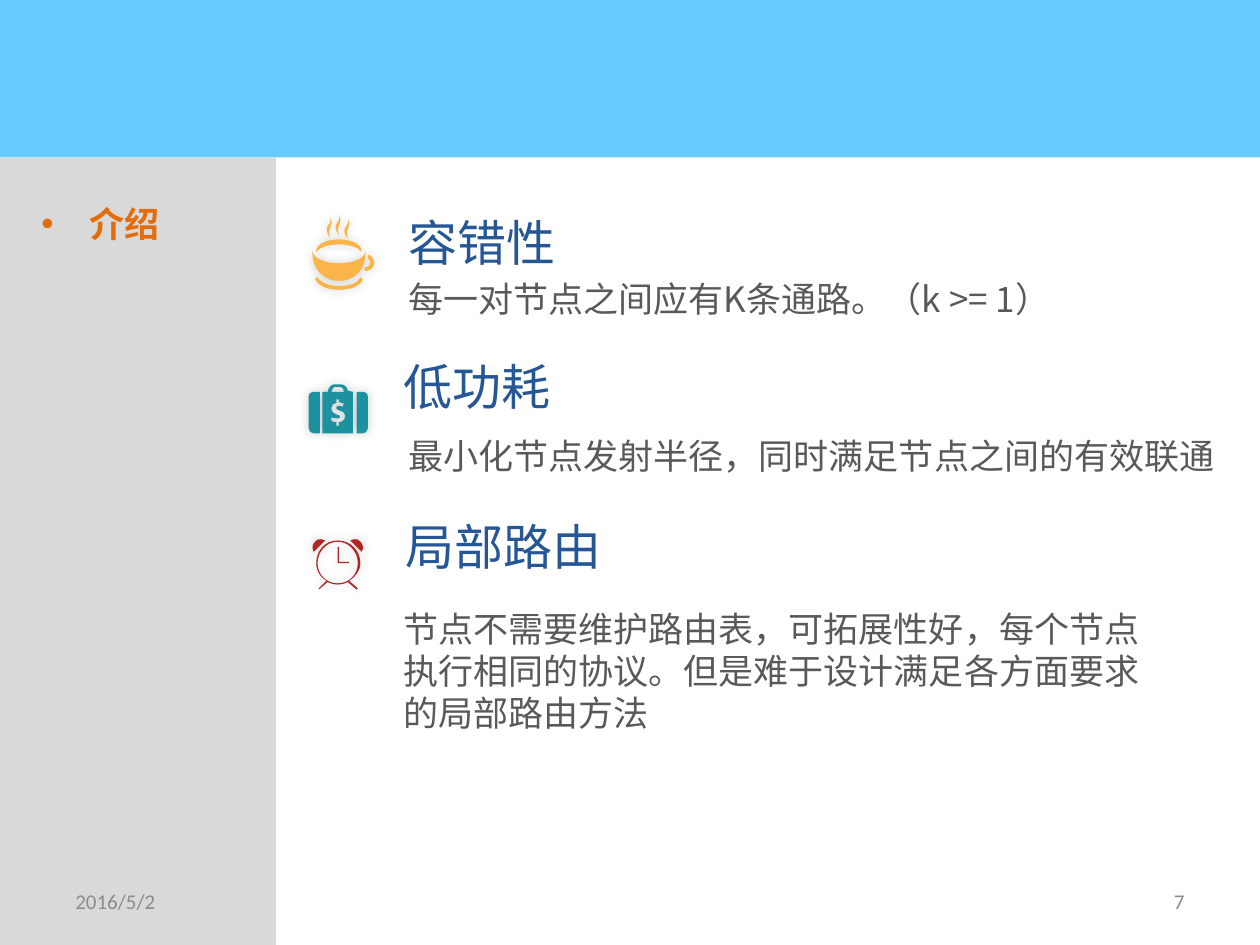
from lxml import etree
from pptx import Presentation
from pptx.dml.color import RGBColor
from pptx.enum.shapes import MSO_SHAPE
from pptx.enum.text import MSO_ANCHOR, MSO_AUTO_SIZE, PP_ALIGN
from pptx.oxml.ns import qn
from pptx.util import Inches, Pt

RECT = MSO_SHAPE.RECTANGLE
TOP, MIDDLE = MSO_ANCHOR.TOP, MSO_ANCHOR.MIDDLE
LEFT, RIGHT = PP_ALIGN.LEFT, PP_ALIGN.RIGHT
GROW, FIXED = MSO_AUTO_SIZE.SHAPE_TO_FIT_TEXT, MSO_AUTO_SIZE.NONE
CJK, LATIN = "Noto Sans CJK SC", "Calibri"
SKY, PANEL, ORANGE = "66CCFF", "D9D9D9", "E46C0A"
BLUE, DARK, GREY = "255796", "595959", "8C8C8C"
AMBER, TEAL, RED = "FBB448", "1C91A0", "B02623"

# Icon outlines in hundredths of an inch from the icon corner:
# two numbers are a corner point, six are a Bezier curve (control, control, end).
CUP = [
    [(4, 49), (6, 53, 13, 56, 21, 56), (29, 56, 36, 54, 38, 49), (40, 51),
     (38, 56, 30, 59, 21, 59), (12, 59, 4, 56, 2, 50)],
    [(44, 31), (47, 32, 49, 35, 49, 37), (49, 41, 46, 44, 43, 44),
     (42, 44, 41, 44, 41, 43), (42, 41), (43, 41), (45, 41, 46, 39, 46, 37),
     (46, 36, 45, 35, 44, 34), (44, 33, 44, 32, 44, 31)],
    [(42, 27), (42, 28, 42, 29, 42, 31), (42, 43, 33, 52, 21, 52),
     (10, 52, 0, 43, 0, 31), (0, 28), (0, 34, 10, 38, 21, 38),
     (33, 38, 42, 34, 42, 28)],
    [(21, 19), (31, 19, 39, 23, 39, 28), (39, 29), (36, 25, 29, 23, 21, 23),
     (13, 23, 6, 25, 3, 29), (3, 28), (3, 23, 11, 19, 21, 19)],
] + [
    [(x, y), (x + 4, y + 6, x - 3, y + 7, x, y + 16), (x - 7, y + 5, x + 2, y + 7, x, y)]
    for x, y in [(28, 3), (14, 2), (21, 0)]
]
BRIEFCASE = [
    [(31, 5), (31, 2, 28, 0, 25, 0), (21, 0), (18, 0, 16, 2, 15, 6), (11, 6),
     (11, 39), (35, 39), (35, 6)],
    [(21, 2), (25, 2), (27, 2, 28, 4, 28, 6), (18, 6), (19, 3, 20, 2, 21, 2)],
    [(9, 6), (4, 6), (2, 6, 0, 7, 0, 10), (0, 35), (0, 37, 2, 39, 4, 39), (9, 39)],
    [(47, 35), (47, 37, 45, 39, 42, 39), (38, 39), (38, 6), (42, 6),
     (45, 6, 47, 7, 47, 10)],
    [(25, 26), (25, 25, 24, 24, 22, 24), (20, 23, 18, 22, 18, 19),
     (18, 17, 19, 15, 22, 15), (22, 12), (24, 12), (24, 14),
     (26, 15, 27, 15, 28, 15), (27, 18), (27, 18, 26, 17, 24, 17),
     (22, 17, 22, 18, 22, 19), (22, 19, 22, 20, 25, 21), (28, 22, 29, 23, 29, 25),
     (29, 28, 27, 30, 24, 30), (24, 33), (22, 33), (22, 30),
     (20, 30, 19, 30, 18, 29), (18, 26), (19, 27, 21, 27, 23, 27),
     (24, 27, 25, 27, 25, 26)],
]
CLOCK = [
    [(20, 6), (21, 6), (21, 18), (29, 18), (29, 19), (20, 19)],
    [(20, 2), (11, 2, 4, 10, 4, 19), (4, 28, 11, 35, 20, 35),
     (29, 35, 36, 28, 36, 19), (36, 10, 29, 2, 20, 2)],
    [(20, 1), (30, 1, 38, 9, 38, 19), (38, 25, 34, 30, 29, 33), (36, 39), (35, 40),
     (28, 34), (26, 35, 23, 36, 20, 36), (17, 36, 14, 35, 12, 34), (5, 40), (5, 39),
     (11, 33), (6, 30, 3, 25, 3, 19), (3, 9, 10, 1, 20, 1)],
    [(7, 0), (8, 0, 9, 0, 10, 1), (1, 10), (-1, 7, 0, 4, 2, 2), (3, 0, 5, 0, 7, 0)],
    [(33, 0), (35, 0, 37, 0, 38, 2), (40, 4, 41, 7, 39, 10), (30, 1),
     (31, 0, 32, 0, 33, 0)],
]


def rgb(color):
    return RGBColor.from_string(color)


def set_fill(sp, color):
    sp.shadow.inherit = False
    sp.fill.solid()
    sp.fill.fore_color.rgb = rgb(color)
    sp.line.fill.background()


def add_block(s, box, color):
    set_fill(s.shapes.add_shape(RECT, *map(Inches, box)), color)


def add_text(s, box, text, size, color, font=CJK, bold=False, align=LEFT,
             anchor=TOP, insets=(0.1, 0.05), auto_size=FIXED):
    tf = s.shapes.add_textbox(*map(Inches, box)).text_frame
    tf.text = text
    tf.word_wrap = True
    tf.auto_size = auto_size
    tf.vertical_anchor = anchor
    tf.margin_left = tf.margin_right = Inches(insets[0])
    tf.margin_top = tf.margin_bottom = Inches(insets[1])
    p = tf.paragraphs[0]
    p.alignment = align
    r = p.runs[0]
    r.font.size, r.font.bold, r.font.name = Pt(size), bold, font
    r.font.color.rgb = rgb(color)
    etree.SubElement(r.font._element, qn("a:ea"), typeface=font)
    return p


def add_bullet(p, indent):
    pPr = p._p.get_or_add_pPr()
    pPr.set("marL", str(Inches(indent)))
    pPr.set("indent", str(-Inches(indent)))
    etree.SubElement(pPr, qn("a:buFont"), typeface="Arial")
    etree.SubElement(pPr, qn("a:buChar"), char="•")


def add_soft_shadow(sp):
    effects = sp._element.spPr.find(qn("a:effectLst"))
    shadow = etree.SubElement(effects, qn("a:outerShdw"), blurRad=str(Pt(6)),
                              dist="0", dir=str(225 * 60000), rotWithShape="0")
    black = etree.SubElement(shadow, qn("a:srgbClr"), val="000000")
    etree.SubElement(black, qn("a:alpha"), val="20000")


def add_icon(s, left, top, outlines, color):
    def place(x, y):
        return Inches(left + x / 100), Inches(top + y / 100)

    builder = s.shapes.build_freeform(*place(*outlines[0][0]), scale=1.0)
    for i, outline in enumerate(outlines):
        if i:
            builder.move_to(*place(*outline[0]))
        builder.add_line_segments([place(*seg[-2:]) for seg in outline[1:]], close=True)
    sp = builder.convert_to_shape()

    # Turn the straight segments that stand for curves into Bezier segments.
    segments = [seg for outline in outlines for seg in outline[1:]]
    lines = list(sp._element.iter(qn("a:lnTo")))
    for line, seg in zip(lines, segments):
        if len(seg) == 6:
            line.tag = qn("a:cubicBezTo")
            for i in (0, 1):
                x, y = place(*seg[2 * i:2 * i + 2])
                pt = etree.Element(qn("a:pt"), x=str(x - sp.left), y=str(y - sp.top))
                line.insert(i, pt)
    set_fill(sp, color)
    add_soft_shadow(sp)


def add_frame(s, width, height, header, sidebar):
    add_block(s, (0, 0, width, header), SKY)
    add_block(s, (0, header, sidebar, height - header), PANEL)
    for left, text, align in [(0.5, "2016/5/2", LEFT), (width - 2.83, "7", RIGHT)]:
        add_text(s, (left, height - 0.55, 2.33, 0.4), text, 12, GREY, LATIN,
                 align=align, anchor=MIDDLE)
    p = add_text(s, (0.23, header + 0.31, 1.8, 4.53), "介绍", 20, ORANGE, bold=True)
    add_bullet(p, 0.38)


def add_point(s, title, title_box, body, body_box):
    for text, box, size, color in [(title, title_box, 28, BLUE),
                                   (body, body_box, 20, DARK)]:
        add_text(s, box, text, size, color, insets=(0.07, 0.04), auto_size=GROW)


def main():
    prs = Presentation()
    prs.slide_width, prs.slide_height = Inches(10), Inches(7.5)
    s = prs.slides.add_slide(prs.slide_layouts[6])
    add_frame(s, 10, 7.5, header=1.25, sidebar=2.19)
    add_icon(s, 2.48, 1.71, CUP, AMBER)
    add_icon(s, 2.48, 4.28, CLOCK, RED)
    add_icon(s, 2.45, 3.05, BRIEFCASE, TEAL)
    add_point(s, "容错性", (3.17, 1.65, 3.3, 0.55),
              "每一对节点之间应有K条通路。（k >= 1）", (3.17, 2.16, 7.7, 0.41))
    add_point(s, "低功耗", (3.13, 2.79, 3.19, 0.55),
              "最小化节点发射半径，同时满足节点之间的有效联通", (3.17, 3.41, 7.7, 0.41))
    add_point(s, "局部路由", (3.15, 4.06, 3.3, 0.55),
              "节点不需要维护路由表，可拓展性好，每个节点执行相同的协议。"
              "但是难于设计满足各方面要求的局部路由方法", (3.13, 4.78, 6.2, 1.09))
    prs.save("out.pptx")


if __name__ == "__main__":
    main()
